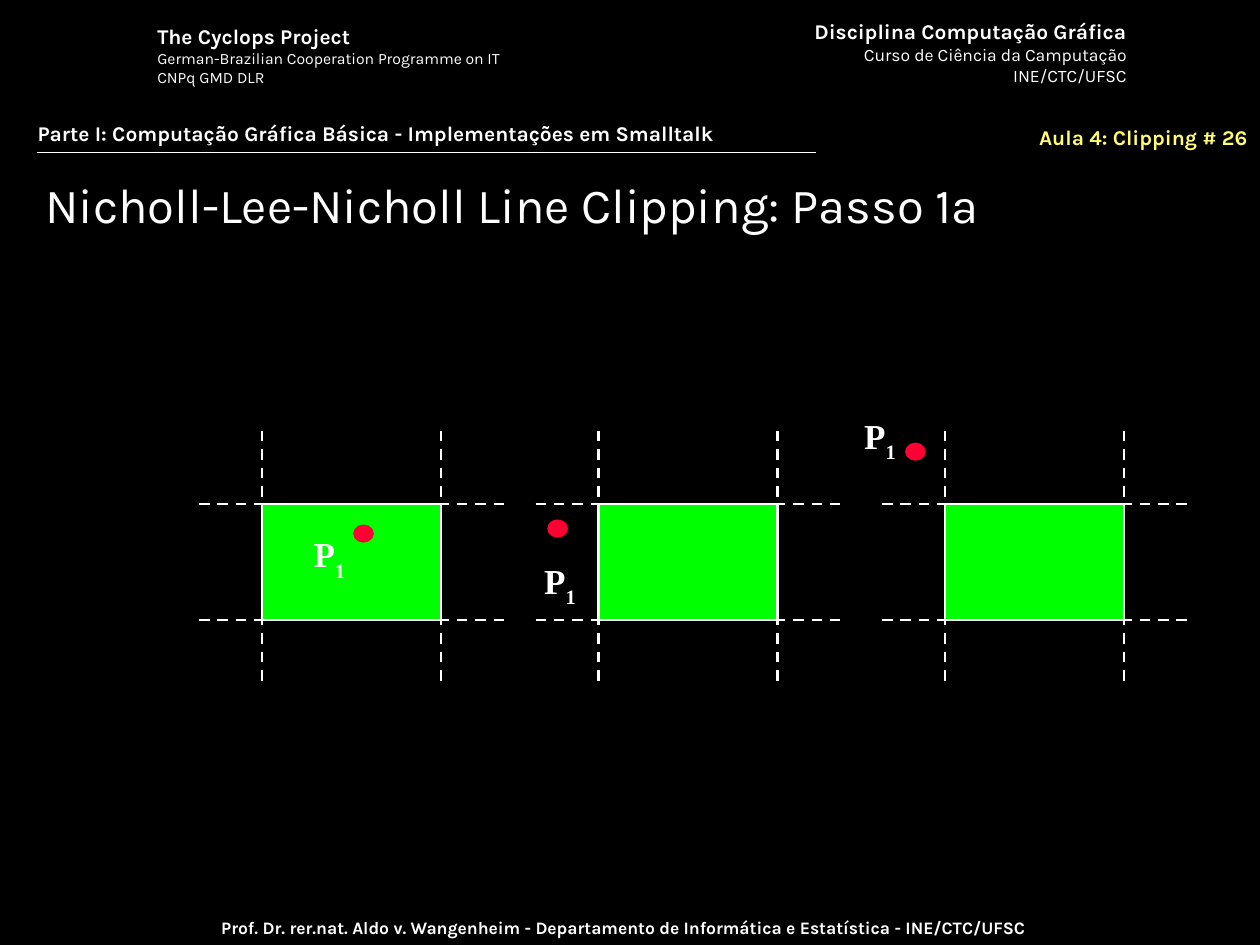
from pptx import Presentation
from pptx.dml.color import RGBColor
from pptx.enum.dml import MSO_LINE_DASH_STYLE as Dash
from pptx.enum.shapes import MSO_CONNECTOR as Connector, MSO_SHAPE as Shape
from pptx.enum.text import MSO_ANCHOR as Anchor, PP_ALIGN as Align
from pptx.oxml.ns import qn
from pptx.util import Inches, Pt
from lxml.etree import SubElement

BLACK = RGBColor(0x00, 0x00, 0x00)
WHITE = RGBColor(0xFF, 0xFF, 0xFF)
YELLOW = RGBColor(0xFF, 0xFC, 0x6F)
GREEN = RGBColor(0x00, 0xFF, 0x00)
RED = RGBColor(0xFF, 0x00, 0x33)

WINDOW_TOP, WINDOW_WIDTH, WINDOW_HEIGHT = 4, 1.42, 0.92
SIDE_MARGIN, TOP_MARGIN, GUIDE_HEIGHT = 0.5, 0.58, 2
POINT_WIDTH, POINT_HEIGHT = 0.15, 0.13


def set_font(font, size, bold, color=WHITE, name="Karla"):
    font.name = name
    font.size = Pt(size)
    font.bold = bold
    font.color.rgb = color


def add_text(slide, box, lines, align=Align.LEFT, color=WHITE, wrap=True, anchor=Anchor.TOP):
    shape = slide.shapes.add_textbox(*map(Inches, box))
    frame = shape.text_frame
    frame.word_wrap = wrap
    frame.vertical_anchor = anchor
    for index, (text, size, bold) in enumerate(lines):
        paragraph = frame.add_paragraph() if index else frame.paragraphs[0]
        paragraph.text = text
        paragraph.alignment = align
        set_font(paragraph.font, size, bold, color)


def add_line(slide, start, end, width, dash=None):
    points = map(Inches, (*start, *end))
    line = slide.shapes.add_connector(Connector.STRAIGHT, *points)
    line.line.color.rgb = WHITE
    line.line.width = Pt(width)
    if dash:
        line.line.dash_style = dash
    SubElement(line._element.spPr, qn("a:effectLst"))


def add_filled_shape(slide, kind, box, fill, outline, width):
    shape = slide.shapes.add_shape(kind, *map(Inches, box))
    shape.shadow.inherit = False
    shape.fill.solid()
    shape.fill.fore_color.rgb = fill
    shape.line.color.rgb = outline
    shape.line.width = Pt(width)


def add_clip_window(slide, left):
    right, bottom = left + WINDOW_WIDTH, WINDOW_TOP + WINDOW_HEIGHT
    guide_top = WINDOW_TOP - TOP_MARGIN
    for x in (left, right):
        add_line(slide, (x, guide_top), (x, guide_top + GUIDE_HEIGHT), 1.5, Dash.DASH)
    for y in (WINDOW_TOP, bottom):
        add_line(slide, (left - SIDE_MARGIN, y), (right + SIDE_MARGIN, y), 1.5, Dash.DASH)
    window = (left, WINDOW_TOP, WINDOW_WIDTH, WINDOW_HEIGHT)
    add_filled_shape(slide, Shape.RECTANGLE, window, GREEN, WHITE, 1.5)


def add_point(slide, point, label):
    add_filled_shape(slide, Shape.OVAL, (*point, POINT_WIDTH, POINT_HEIGHT), RED, RED, 1)
    frame = slide.shapes.add_textbox(*map(Inches, (*label, 0.45, 0.5))).text_frame
    frame.word_wrap = False
    paragraph = frame.paragraphs[0]
    set_font(paragraph.font, 20, True, name="Times New Roman")
    paragraph.add_run().text = "P"
    subscript = paragraph.add_run()
    subscript.text = "1"
    subscript._r.get_or_add_rPr().set("baseline", "-30000")


def add_header_and_footer(slide):
    add_text(slide, (6.3, 0.1, 2.74, 0.64), [
        ("Disciplina Computação Gráfica", 12, True),
        ("Curso de Ciência da Camputação", 10, False),
        ("INE/CTC/UFSC", 10, False),
    ], Align.RIGHT, wrap=False)
    add_text(slide, (1.15, 0.14, 3.05, 0.6), [
        ("The Cyclops Project", 12, True),
        ("German-Brazilian Cooperation Programme on IT", 9, False),
        ("CNPq GMD DLR", 9, False),
    ], wrap=False)
    footer = ("Prof. Dr. rer.nat. Aldo v. Wangenheim - Departamento de Informática e Estatística"
              " - INE/CTC/UFSC")
    add_text(slide, (0.53, 7.23, 8.83, 0.27), [(footer, 10, True)], Align.CENTER)
    add_line(slide, (0.29, 1.21), (6.48, 1.21), 1)
    add_text(slide, (7.59, 0.94, 2.41, 0.33), [("Aula 4: Clipping # 26", 12, True)],
             Align.RIGHT, YELLOW)
    part = "Parte I: Computação Gráfica Básica - Implementações em Smalltalk"
    add_text(slide, (0.2, 0.91, 9.5, 0.3), [(part, 12, True)])


def main():
    presentation = Presentation()
    presentation.slide_width = Inches(10)
    presentation.slide_height = Inches(7.5)
    slide = presentation.slides.add_slide(presentation.slide_layouts[6])
    slide.background.fill.solid()
    slide.background.fill.fore_color.rgb = BLACK

    add_header_and_footer(slide)
    add_text(slide, (0.26, 1.29, 9.4, 0.65),
             [("Nicholl-Lee-Nicholl Line Clipping: Passo 1a", 28, False)], anchor=Anchor.MIDDLE)

    cases = [
        (2.08, (2.81, 4.17), (2.39, 4.18)),
        (4.75, (4.35, 4.13), (4.22, 4.39)),
        (7.5, (7.19, 3.52), (6.76, 3.24)),
    ]
    for window_left, point, label in cases:
        add_clip_window(slide, window_left)
        add_point(slide, point, label)

    presentation.save("out.pptx")


if __name__ == "__main__":
    main()
